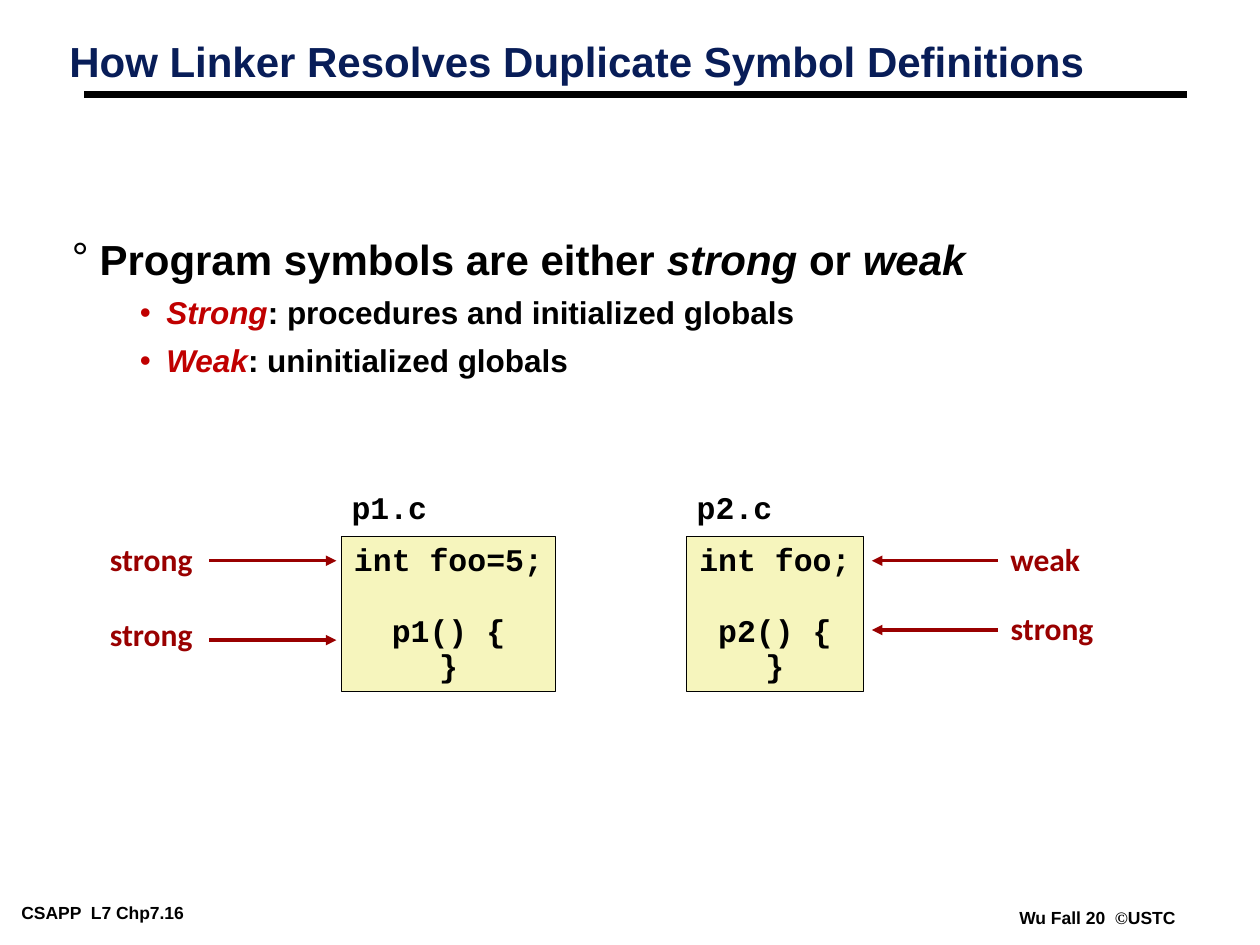
from lxml.etree import SubElement
from pptx import Presentation
from pptx.dml.color import RGBColor
from pptx.enum.shapes import MSO_CONNECTOR, MSO_SHAPE
from pptx.enum.text import MSO_ANCHOR, MSO_AUTO_SIZE, PP_ALIGN
from pptx.oxml.ns import qn
from pptx.util import Inches, Pt

HUES = {"ink": "000000", "title": "081D58", "red": "C00000",
        "mark": "990000", "code": "F6F5BD", "white": "FFFFFF"}


def hue(name):
    return RGBColor.from_string(HUES[name])


class Deck:
    def __init__(self):
        self.prs = Presentation()
        self.prs.slide_width, self.prs.slide_height = Inches(10), Inches(7.5)
        self.slide = self.prs.slides.add_slide(self.prs.slide_layouts[1])

    def place(self, shape, at):
        shape.left, shape.top, shape.width, shape.height = map(Inches, at)

    def frame(self, shape, pad, wrap, fit):
        frame = shape.text_frame
        frame.margin_left = frame.margin_right = Inches(pad[0])
        frame.margin_top = frame.margin_bottom = Inches(pad[1])
        frame.word_wrap, frame.auto_size = wrap, fit
        frame.vertical_anchor = MSO_ANCHOR.TOP
        return frame

    def style(self, run, size, face="Arial", color="ink", slant=False):
        font = run.font
        font.size, font.name = Pt(size), face
        font.bold, font.italic = True, slant
        font.color.rgb = hue(color)

    def title(self, text, at):
        shape = self.slide.shapes.title
        self.place(shape, at)
        frame = self.frame(shape, (0.07, 0.03), True, MSO_AUTO_SIZE.NONE)
        frame.text = text
        para = frame.paragraphs[0]
        para.alignment, para.line_spacing = PP_ALIGN.LEFT, 0.87
        self.style(para.runs[0], 24, color="title")

    def bullet(self, para, char, color, left, hang):
        props = para._p.get_or_add_pPr()
        props.set("marL", str(Inches(left)))
        props.set("indent", str(-Inches(hang)))
        tint = SubElement(props, qn("a:buClr"))
        SubElement(tint, qn("a:srgbClr")).set("val", HUES[color])
        SubElement(props, qn("a:buChar")).set("char", char)

    def body(self, items, at):
        """Each item is a level and its (text, color, slant) runs."""
        shape = self.slide.placeholders[1]
        self.place(shape, at)
        frame = self.frame(shape, (0.07, 0.03), True, MSO_AUTO_SIZE.NONE)
        for i, (level, parts) in enumerate(items):
            para = frame.add_paragraph() if i else frame.paragraphs[0]
            para.level = level
            para.line_spacing = 0.85 if level else 0.75
            para.space_before = Pt(9 if i else 0)
            if level:
                self.bullet(para, "•", "red", 0.75, 0.21)
            else:
                self.bullet(para, "°", "ink", 0.22, 0.22)
            for text, color, slant in parts:
                run = para.add_run()
                run.text = text
                self.style(run, 18 if level else 24, color=color, slant=slant)

    def note(self, parts, at):
        """Footer line made of (text, face) runs."""
        box = self.slide.shapes.add_textbox(*map(Inches, at))
        frame = self.frame(box, (0.07, 0.03), False, MSO_AUTO_SIZE.SHAPE_TO_FIT_TEXT)
        for text, face in parts:
            run = frame.paragraphs[0].add_run()
            run.text = text
            self.style(run, 10, face)

    def center(self, shape, text, face, color, gap):
        frame = self.frame(shape, (0.1, 0.05), False, MSO_AUTO_SIZE.SHAPE_TO_FIT_TEXT)
        frame.text = text
        for para in frame.paragraphs:
            para.alignment, para.line_spacing = PP_ALIGN.CENTER, gap
            para.font.size, para.font.name = Pt(18), face
            for run in para.runs:
                self.style(run, 18, face, color)

    def label(self, text, at):
        box = self.slide.shapes.add_textbox(*map(Inches, at))
        self.center(box, text, "Calibri", "mark", 0.98)

    def code(self, text, at, fill=None, edge="ink"):
        box = self.slide.shapes.add_shape(MSO_SHAPE.RECTANGLE, *map(Inches, at))
        box.shadow.inherit = False
        if fill:
            box.fill.solid()
            box.fill.fore_color.rgb = hue(fill)
        else:
            box.fill.background()
        box.line.color.rgb, box.line.width = hue(edge), Pt(0.25)
        self.center(box, text, "Courier New", "ink", 0.94)

    def line(self, x, end, y, color, width, arrow=False):
        link = self.slide.shapes.add_connector(
            MSO_CONNECTOR.STRAIGHT, Inches(x), Inches(y), Inches(end), Inches(y))
        link.line.color.rgb, link.line.width = hue(color), Pt(width)
        if arrow:
            SubElement(link.line._get_or_add_ln(), qn("a:tailEnd")).set("type", "triangle")
        SubElement(link._element.spPr, qn("a:effectLst"))


def main():
    deck = Deck()

    # Footer and title rule
    deck.note([("CSAPP  L7 Chp7.16", "Arial")], (0.1, 7.13, 1.95, 0.22))
    deck.note([("Wu Fall 20  ", "Arial"), ("©", "Times New Roman"), ("USTC", "Arial")],
              (8.02, 7.17, 1.38, 0.22))
    deck.line(0.67, 9.42, 0.75, "ink", 4.5)

    # Title and list
    deck.title("How Linker Resolves Duplicate Symbol Definitions", (0.48, 0.31, 9.53, 0.86))
    deck.body([
        (0, [("Program symbols are either ", "ink", False), ("strong", "ink", True),
             (" or ", "ink", False), ("weak", "ink", True)]),
        (1, [("Strong", "red", True), (": procedures and initialized globals", "ink", False)]),
        (1, [("Weak", "red", True), (": uninitialized globals", "ink", False)]),
    ], (0.5, 1.92, 9.09, 1.58))

    # Source files
    for name, first, x, wide in (("p1", "int foo=5;", 2.71, 1.7),
                                 ("p2", "int foo;", 5.45, 1.4)):
        deck.code(f"{first}\n\n{name}() {{\n}}", (x, 4.26, wide, 1.23), "code")
        deck.code(f"{name}.c", (x - 0.02, 3.85, 0.8, 0.38), edge="white")

    # Symbol strengths, each with an arrow to its line of code
    for text, x, top, wide, start, end, y in (
            ("strong", 7.91, 4.8, 0.88, 7.92, 6.92, 5),
            ("weak", 7.9, 4.25, 0.79, 7.92, 6.92, 4.45),
            ("strong", 0.76, 4.85, 0.88, 1.66, 2.67, 5.08),
            ("strong", 0.76, 4.25, 0.88, 1.66, 2.67, 4.45)):
        deck.label(text, (x, top, wide, 0.4))
        deck.line(start, end, y, "mark", 2, arrow=True)

    deck.prs.save("out.pptx")


if __name__ == "__main__":
    main()
